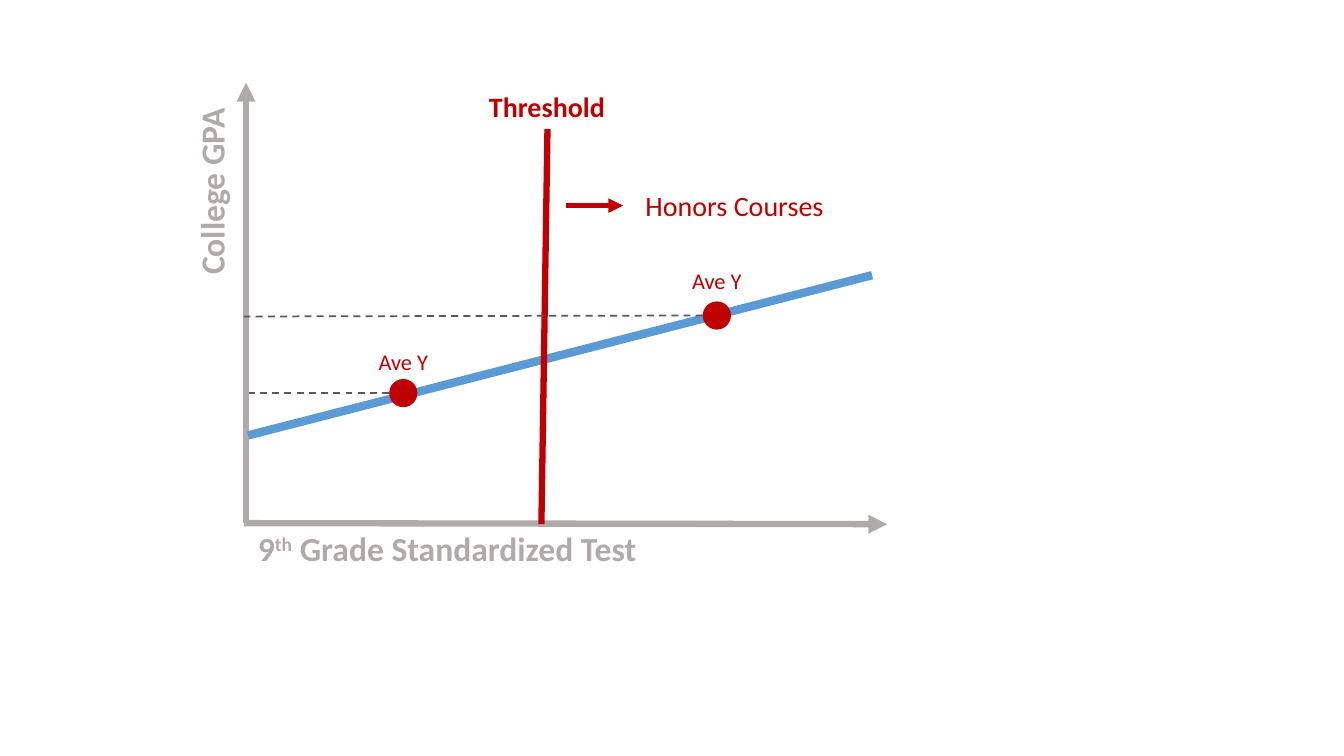
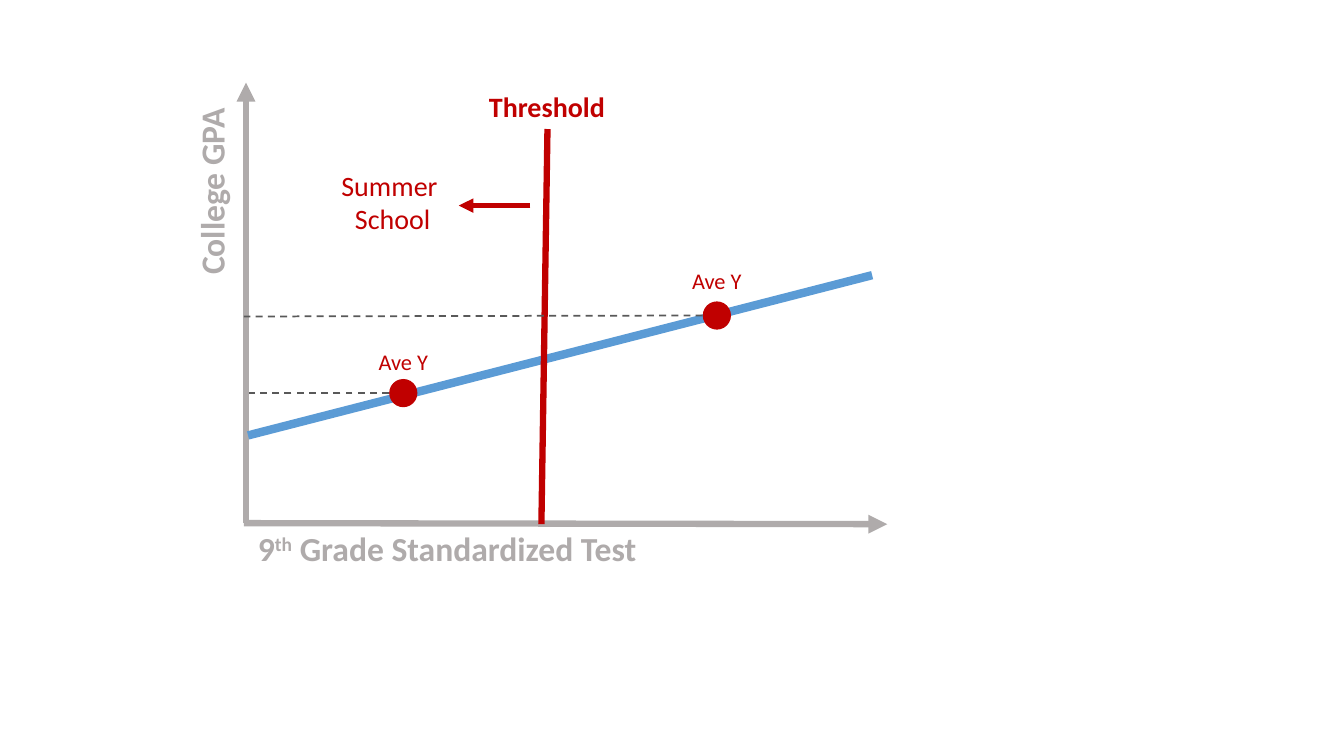
import pptx
import pptx.util
import pptx.dml.color
import pptx.enum.dml
import pptx.enum.shapes
import pptx.enum.text
import pptx.oxml.ns
import lxml.etree

Inches = pptx.util.Inches
Pt = pptx.util.Pt
RGBColor = pptx.dml.color.RGBColor
ALIGN = pptx.enum.text.PP_ALIGN

AXIS_GRAY = RGBColor(0xAF, 0xAB, 0xAB)
TREND_BLUE = RGBColor(0x5B, 0x9B, 0xD5)
RED = RGBColor(0xC0, 0x00, 0x00)
GUIDE_GRAY = RGBColor(0x59, 0x59, 0x59)
LABEL_WIDTH = 2.13
DOT_SIZE = 0.28


def add_text(slide, text, left, top, width, height, size=20, color=RED,
             bold=False, align=ALIGN.CENTER, rotation=0):
    """Add a label; newlines split paragraphs, ^ marks encloses superscript."""
    label = slide.shapes.add_textbox(
        Inches(left), Inches(top), Inches(width), Inches(height))
    label.rotation = rotation
    frame = label.text_frame
    frame.word_wrap = True
    frame.auto_size = pptx.enum.text.MSO_AUTO_SIZE.SHAPE_TO_FIT_TEXT
    for index, line in enumerate(text.split("\n")):
        paragraph = frame.add_paragraph() if index else frame.paragraphs[0]
        paragraph.alignment = align
        for part, words in enumerate(line.split("^")):
            run = paragraph.add_run()
            run.text = words
            run.font.name = "Calibri"
            run.font.size = Pt(size)
            run.font.bold = bold
            run.font.color.rgb = color
            if part % 2:
                run._r.get_or_add_rPr().set("baseline", "30000")


def add_line(slide, start, end, color, width, arrow=False, dashed=False):
    """Draw a straight line, with an optional arrowhead at its end."""
    connector = slide.shapes.add_connector(
        pptx.enum.shapes.MSO_CONNECTOR.STRAIGHT,
        *[Inches(value) for value in (*start, *end)])
    connector.line.color.rgb = color
    connector.line.width = Pt(width)
    if dashed:
        connector.line.dash_style = pptx.enum.dml.MSO_LINE.DASH
    if arrow:
        lxml.etree.SubElement(connector.line._get_or_add_ln(),
                              pptx.oxml.ns.qn("a:tailEnd"), type="triangle")
    lxml.etree.SubElement(connector._element.spPr, pptx.oxml.ns.qn("a:effectLst"))


# Programme on each slide: arrow start, arrow end, label, label left, top, height
programmes = [
    (5.61, 6.18, "Honors Courses", 6.22, 1.82, 0.44),
    (5.26, 4.55, "Summer \nSchool", 2.83, 1.62, 0.77),
]

# Averages: dot centre, guide end on the axis, label top
averages = [
    ((7.11, 3.13), (2.42, 3.14), 2.6),
    ((4.0, 3.9), (2.47, 3.9), 3.4),
]

presentation = pptx.Presentation()
presentation.slide_width = Inches(13.33)
presentation.slide_height = Inches(7.5)

for arrow_start, arrow_end, programme, left, top, height in programmes:
    slide = presentation.slides.add_slide(presentation.slide_layouts[6])

    # Axes and trend
    add_line(slide, (2.44, 5.19), (2.44, 0.82), AXIS_GRAY, 4.5, arrow=True)
    add_line(slide, (2.46, 4.32), (8.65, 2.73), TREND_BLUE, 6)
    add_line(slide, (2.42, 5.19), (8.8, 5.2), AXIS_GRAY, 4.5, arrow=True)
    add_text(slide, "9^th^ Grade Standardized Test", 2.46, 5.19, 4.15, 0.5,
             size=24, color=AXIS_GRAY, bold=True, align=ALIGN.LEFT)
    add_text(slide, "College GPA", 0.86, 1.65, 2.47, 0.5,
             size=24, color=AXIS_GRAY, bold=True, rotation=270)

    # Threshold
    add_text(slide, "Threshold", 4.36, 0.84, LABEL_WIDTH, 0.44, bold=True)
    add_line(slide, (5.43, 1.28), (5.37, 5.2), RED, 4.5)

    # Programme on one side of the threshold
    add_line(slide, (arrow_start, 2.04), (arrow_end, 2.04), RED, 3.5, arrow=True)
    add_text(slide, programme, left, top, LABEL_WIDTH, height)

    # Average outcome on each side
    for (x, y), axis_point, label_top in averages:
        dot = slide.shapes.add_shape(
            pptx.enum.shapes.MSO_SHAPE.OVAL,
            Inches(x - DOT_SIZE / 2), Inches(y - DOT_SIZE / 2),
            Inches(DOT_SIZE), Inches(DOT_SIZE))
        dot.shadow.inherit = False
        dot.fill.solid()
        dot.fill.fore_color.rgb = RED
        dot.line.fill.background()
        add_line(slide, (x - DOT_SIZE / 2, y), axis_point, GUIDE_GRAY, 1.25,
                 dashed=True)
        add_text(slide, "Ave Y", x - LABEL_WIDTH / 2, label_top,
                 LABEL_WIDTH, 0.37, size=16)

presentation.save("out.pptx")
